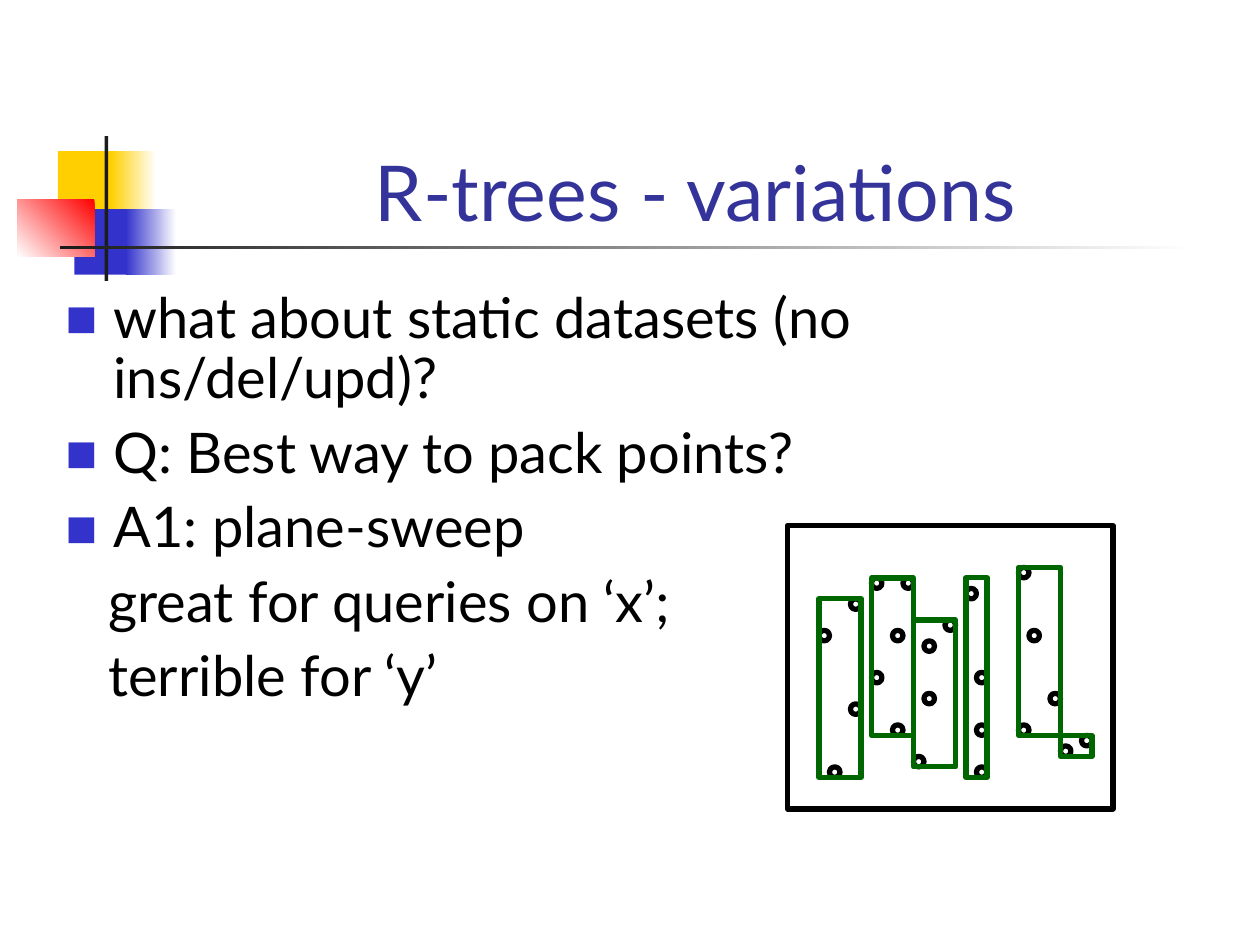
from dataclasses import dataclass
from typing import NamedTuple, Optional

from lxml.etree import SubElement
from pptx import Presentation
from pptx.dml.color import RGBColor
from pptx.enum.shapes import MSO_SHAPE
from pptx.enum.text import MSO_ANCHOR, MSO_AUTO_SIZE, PP_ALIGN
from pptx.oxml.ns import qn
from pptx.util import Inches, Pt


@dataclass(frozen=True)
class Theme:
    """Colours, font and sizes of the slide."""
    font: str = "Lato"
    title_size: int = 44
    body_size: int = 32
    outline: int = 3
    title: str = "333399"
    text: str = "000000"
    accent: str = "3333CC"
    yellow: str = "FFCF01"
    red: str = "FF0000"
    dark: str = "1C1C1C"
    white: str = "FFFFFF"
    green: str = "006600"


class Box(NamedTuple):
    """A rectangle in inches, or in grid cells of the diagram."""
    left: float
    top: float
    width: float
    height: float


class Band(NamedTuple):
    """A decorative block; with an end colour it is a gradient."""
    box: Box
    start: str
    end: Optional[str] = None
    angle: float = 180


class Line(NamedTuple):
    """A body line, with or without a bullet."""
    text: str
    bulleted: bool


THEME = Theme()
BANDS = [
    Band(Box(0.46, 1.2, 0.48, 0.52), THEME.yellow),
    Band(Box(0.88, 1.2, 0.36, 0.52), THEME.white, THEME.yellow),
    Band(Box(0.59, 1.66, 0.46, 0.52), THEME.accent),
    Band(Box(1, 1.66, 0.4, 0.52), THEME.white, THEME.accent),
    Band(Box(0.14, 1.58, 0.61, 0.46), THEME.red, THEME.white, 225),
    Band(Box(0.83, 1.08, 0.03, 1.15), THEME.dark),
    Band(Box(0.48, 1.95, 9, 0.03), THEME.white, THEME.dark),
]
LINES = [
    Line("what about static datasets (no ins/del/upd)?", True),
    Line("Q: Best way to pack points?", True),
    Line("A1: plane-sweep", True),
    Line("great for queries on ‘x’;", False),
    Line("terrible for ‘y’", False),
]

# The diagram lies on a grid of twelfths of an inch.
CELL = 1 / 12
GRID_LEFT, GRID_TOP = 6.25, 4.17
FRAME = Box(0, 0, 31, 27)
POINTS = [
    (4, 23), (3, 10), (12, 22), (11, 5), (10, 19), (6, 17), (8, 5), (13, 11),
    (15, 9), (23, 10), (22, 4), (18, 14), (22, 19), (25, 16), (26, 21), (6, 7),
    (10, 10), (8, 14), (17, 6), (13, 16), (18, 19), (18, 23), (28, 20),
]
LEAVES = [
    Box(3, 7, 4, 17), Box(8, 5, 4, 15), Box(12, 9, 4, 14),
    Box(17, 5, 2, 19), Box(22, 4, 4, 16), Box(26, 20, 3, 2),
]


def rgb(colour: str) -> RGBColor:
    """Turn a hex string into a colour."""
    return RGBColor.from_string(colour)


def place(shape, box: Box) -> None:
    """Move and size a shape in inches."""
    shape.left, shape.top, shape.width, shape.height = map(Inches, box)


def add_preset(slide, kind, box: Box):
    """Add a shape without shadow."""
    shape = slide.shapes.add_shape(kind, *map(Inches, box))
    shape.shadow.inherit = False
    return shape


def add_band(slide, band: Band) -> None:
    """Draw one decorative block."""
    shape = add_preset(slide, MSO_SHAPE.RECTANGLE, band.box)
    shape.line.fill.background()
    if band.end is None:
        shape.fill.solid()
        shape.fill.fore_color.rgb = rgb(band.start)
        return
    shape.fill.gradient()
    shape.fill.gradient_angle = band.angle
    for stop, colour in zip(shape.fill.gradient_stops, (band.start, band.end)):
        stop.color.rgb = rgb(colour)


def add_outline(slide, kind, cells: Box, colour: str) -> None:
    """Draw an unfilled outline at a place on the diagram grid."""
    box = Box(GRID_LEFT + cells.left * CELL, GRID_TOP + cells.top * CELL,
              cells.width * CELL, cells.height * CELL)
    shape = add_preset(slide, kind, box)
    shape.fill.background()
    shape.line.color.rgb = rgb(colour)
    shape.line.width = Pt(THEME.outline)


def format_font(font, size: int, colour: str) -> None:
    """Set typeface, size and colour."""
    font.name = THEME.font
    font.size = Pt(size)
    font.color.rgb = rgb(colour)


def format_bullet(paragraph, bulleted: bool) -> None:
    """Set the indent and a square bullet, or none."""
    properties = paragraph._p.get_or_add_pPr()
    properties.set("marL", str(Inches(0.38 if bulleted else 0.34)))
    properties.set("indent", str(Inches(-0.38 if bulleted else 0)))
    if not bulleted:
        SubElement(properties, qn("a:buNone"))
        return
    colour = SubElement(properties, qn("a:buClr"))
    SubElement(colour, qn("a:srgbClr"), val=THEME.accent)
    SubElement(properties, qn("a:buSzPct"), val="60000")
    SubElement(properties, qn("a:buFont"), typeface=THEME.font)
    SubElement(properties, qn("a:buChar"), char="■")


def fill_title(title) -> None:
    """Write the title."""
    place(title, Box(1.26, 0.92, 8.52, 1.01))
    frame = title.text_frame
    frame.text = "R-trees - variations"
    frame.auto_size = MSO_AUTO_SIZE.NONE
    frame.vertical_anchor = MSO_ANCHOR.BOTTOM
    paragraph = frame.paragraphs[0]
    paragraph.alignment = PP_ALIGN.CENTER
    format_font(paragraph.runs[0].font, THEME.title_size, THEME.title)


def fill_body(body) -> None:
    """Write the list."""
    place(body, Box(0.42, 2.25, 9, 4.5))
    frame = body.text_frame
    frame.text = "\n".join(line.text for line in LINES)
    frame.auto_size = MSO_AUTO_SIZE.NONE
    for paragraph, line in zip(frame.paragraphs, LINES):
        paragraph.line_spacing = 0.9
        paragraph.space_before = Pt(8)
        format_bullet(paragraph, line.bulleted)
        format_font(paragraph.runs[0].font, THEME.body_size, THEME.text)


def add_diagram(slide) -> None:
    """Draw the framed points and the leaves that pack them."""
    add_outline(slide, MSO_SHAPE.RECTANGLE, FRAME, THEME.text)
    for column, row in POINTS:
        add_outline(slide, MSO_SHAPE.OVAL, Box(column, row, 1, 1), THEME.text)
    for leaf in LEAVES:
        add_outline(slide, MSO_SHAPE.RECTANGLE, leaf, THEME.green)


def main() -> None:
    """Build and save the slide."""
    presentation = Presentation()
    presentation.slide_width, presentation.slide_height = Inches(10), Inches(7.5)
    slide = presentation.slides.add_slide(presentation.slide_layouts[1])
    for band in BANDS:
        add_band(slide, band)
    fill_title(slide.shapes.title)
    fill_body(slide.placeholders[1])
    add_diagram(slide)
    presentation.save("out.pptx")


main()
